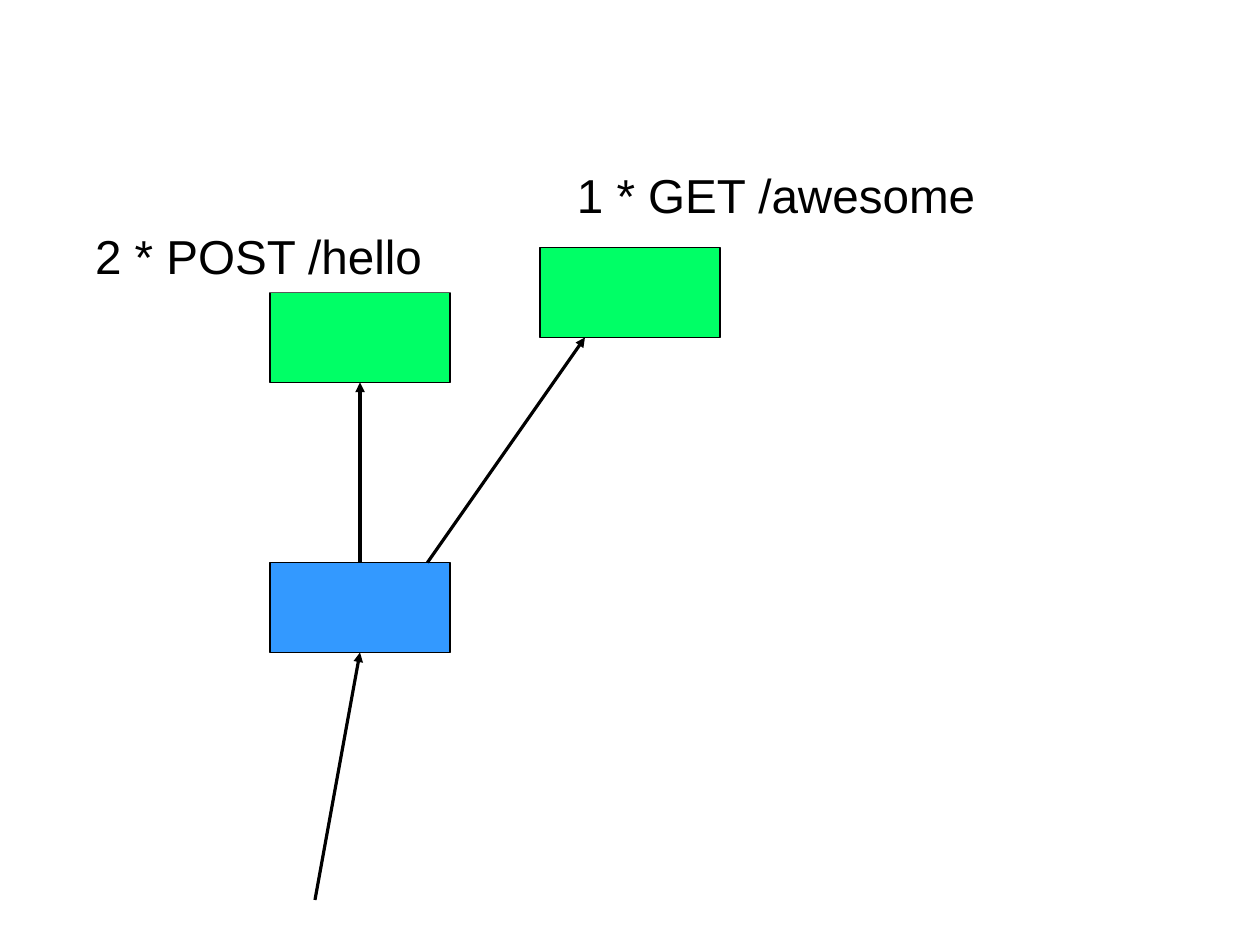
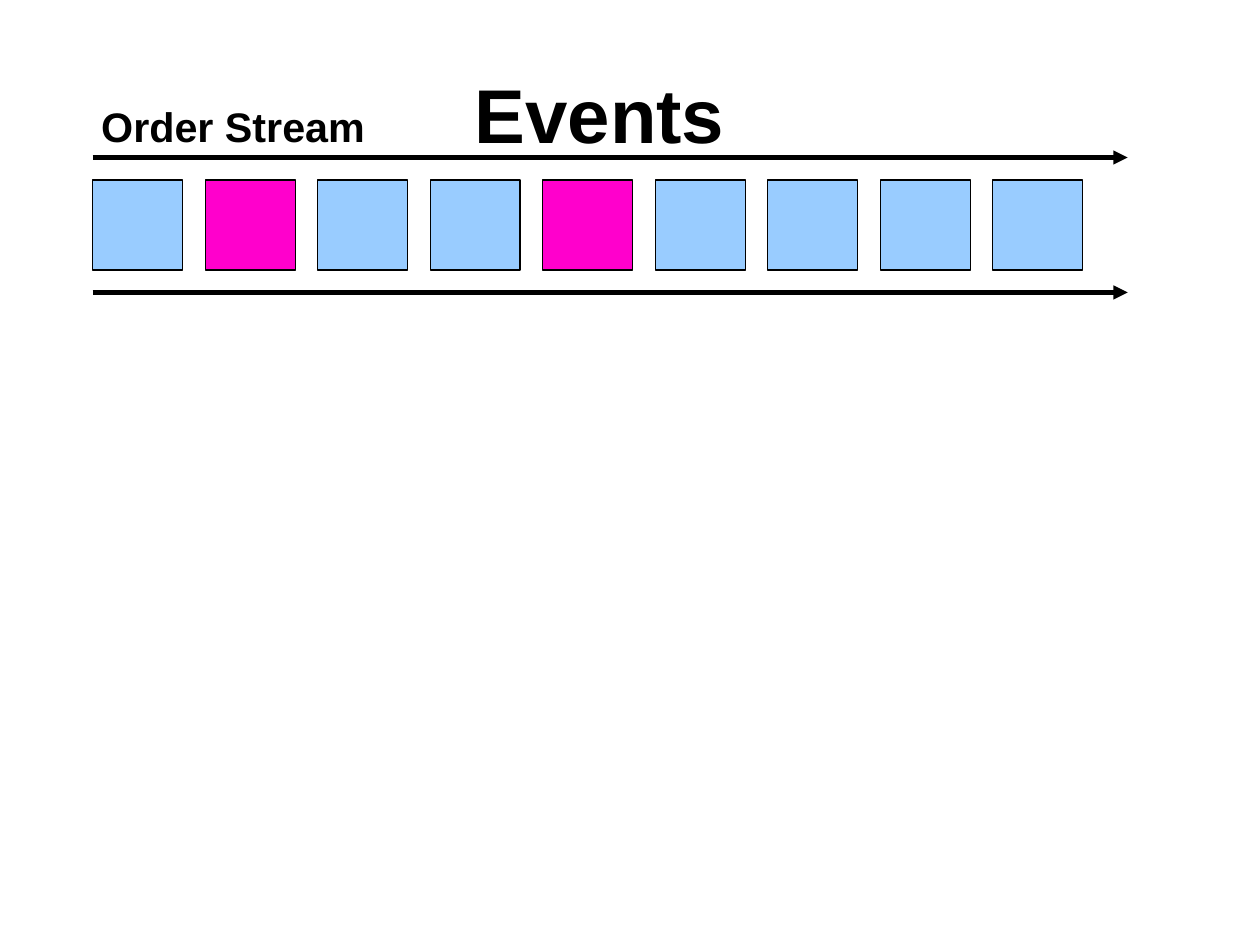
from dataclasses import dataclass

from pptx import Presentation
from pptx.dml.color import RGBColor
from pptx.enum.shapes import MSO_CONNECTOR as Connector, MSO_SHAPE as Shape
from pptx.enum.text import MSO_ANCHOR as Anchor, MSO_AUTO_SIZE as AutoSize, PP_ALIGN as Align
from pptx.oxml.ns import qn
from pptx.util import Pt
from lxml.etree import SubElement


@dataclass(frozen=True)
class Theme:
    font: str = "Arial"
    black: str = "000000"
    white: str = "FFFFFF"
    client: str = "3399FF"
    service: str = "00FF66"
    event: str = "99CCFF"
    marked_event: str = "FF00CC"
    title_size: int = 48
    label_size: int = 30
    stream_size: int = 26
    hairline: int = 0
    stream_line: int = 3


THEME = Theme()
STEP = 28.35  # points in one step of the drawing grid
TITLE_ONLY, BLANK = 5, 6


def grid(steps):
    return Pt(round(steps * STEP, 2))


def color(code):
    return RGBColor.from_string(code)


# Elements; all places and sizes are in grid steps
def add_box(slide, left, top, width, height, fill, outlined=True):
    box = slide.shapes.add_shape(
        Shape.RECTANGLE, grid(left), grid(top), grid(width), grid(height))
    box.shadow.inherit = False
    box.fill.solid()
    box.fill.fore_color.rgb = color(fill)
    if outlined:
        box.line.color.rgb = color(THEME.black)
        box.line.width = Pt(THEME.hairline)
    else:
        box.line.fill.background()
    return box


def add_arrow(slide, start, end, width):
    ends = [grid(steps) for steps in (*start, *end)]
    arrow = slide.shapes.add_connector(Connector.STRAIGHT, *ends)
    arrow.line.color.rgb = color(THEME.black)
    arrow.line.width = Pt(width)
    properties = arrow._element.spPr
    SubElement(properties.find(qn("a:ln")), qn("a:tailEnd"), type="triangle")
    SubElement(properties, qn("a:effectLst"))


def write(shape, text, size, align, anchor, bold=False, wrap=True):
    frame = shape.text_frame
    frame.auto_size = AutoSize.NONE
    frame.word_wrap = wrap
    frame.vertical_anchor = anchor
    paragraph = frame.paragraphs[0]
    paragraph.alignment = align
    run = paragraph.add_run()
    run.text = text
    run.font.name = THEME.font
    run.font.size = Pt(size)
    run.font.bold = bold
    run.font.color.rgb = color(THEME.black)


def add_label(slide, left, top, text):
    label = add_box(slide, left, top, 9.5, 1.63, THEME.white, outlined=False)
    write(label, text, THEME.label_size, Align.CENTER, Anchor.MIDDLE)


def set_title(slide, left, top, width, height, text):
    title = slide.shapes.title
    title.left, title.top = grid(left), grid(top)
    title.width, title.height = grid(width), grid(height)
    write(title, text, THEME.title_size, Align.CENTER, Anchor.TOP, bold=True)


# Slides
def build_requests(deck):
    slide = deck.slides.add_slide(deck.slide_layouts[BLANK])
    for left, top, fill in ((6, 12.5, THEME.client),
                            (6, 6.5, THEME.service),
                            (12, 5.5, THEME.service)):
        add_box(slide, left, top, 4, 2, fill)
    for start, end in (((7, 20), (8, 14.5)),
                       ((8, 12.5), (8, 8.5)),
                       ((9.5, 12.5), (13, 7.5))):
        add_arrow(slide, start, end, THEME.hairline)
    add_label(slide, 12.5, 3.5, "1 * GET /awesome")
    add_label(slide, 1, 4.87, "2 * POST /hello")


def build_events(deck):
    slide = deck.slides.add_slide(deck.slide_layouts[TITLE_ONLY])
    set_title(slide, 8.64, 1.36, 9.37, 2.8, "Events")

    # Stream borders
    left, length = 2.06, 23
    for height in (3.5, 6.5):
        add_arrow(slide, (left, height), (left + length, height), THEME.stream_line)

    # Events in the stream
    marked = {1, 4}
    for index in range(9):
        fill = THEME.marked_event if index in marked else THEME.event
        add_box(slide, left + index * 2.5, 4, 2, 2, fill)

    stream_name = slide.shapes.add_textbox(grid(2), grid(2.13), grid(6.38), grid(1.27))
    write(stream_name, "Order Stream", THEME.stream_size, Align.LEFT, Anchor.TOP,
          bold=True, wrap=False)


def main():
    deck = Presentation()
    deck.slide_width, deck.slide_height = grid(28), grid(21)
    build_requests(deck)
    build_events(deck)
    deck.save("out.pptx")


main()
